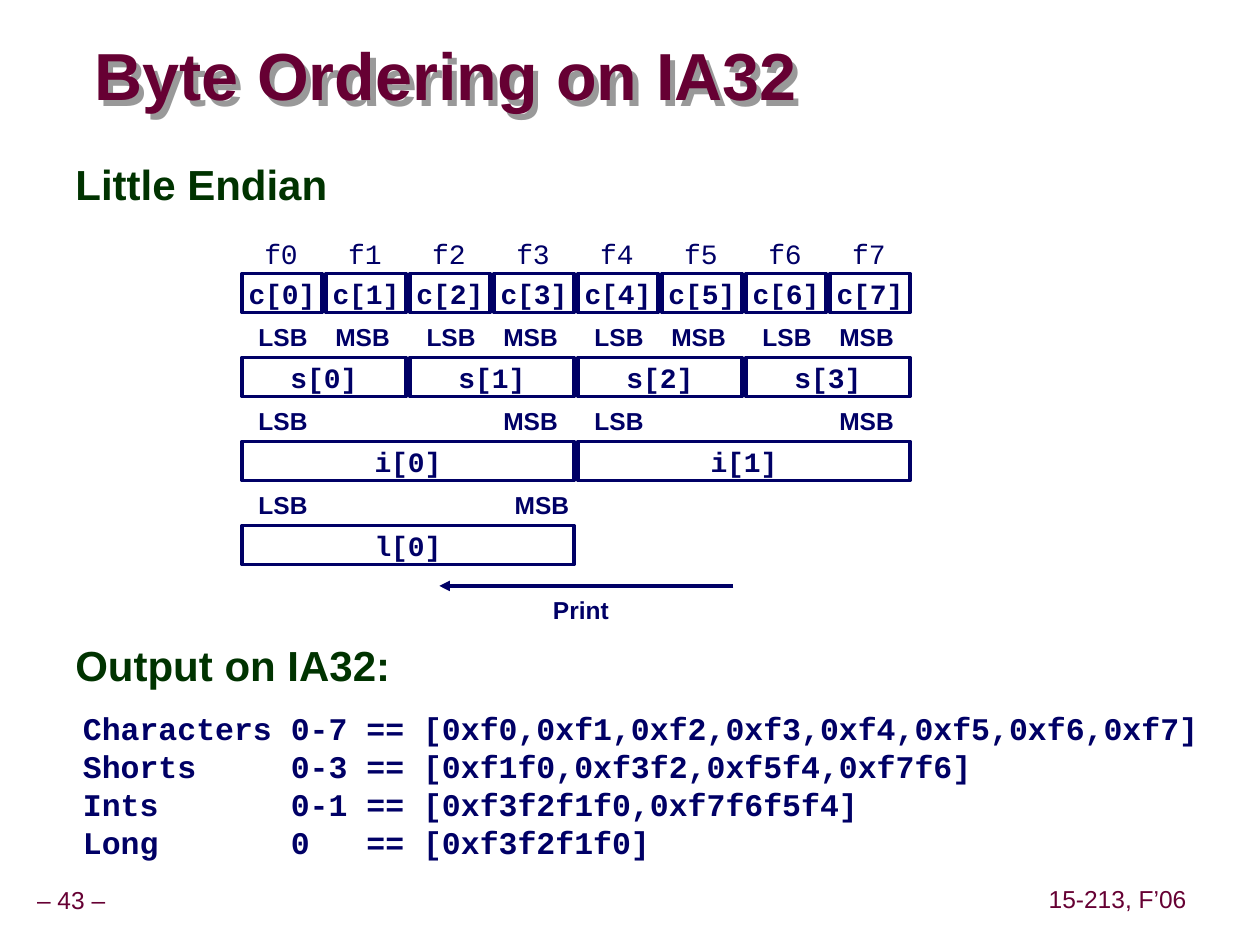
import dataclasses

import lxml.etree
import pptx
import pptx.dml.color
import pptx.enum.shapes
import pptx.enum.text
import pptx.oxml
import pptx.oxml.ns
import pptx.util

Inches = pptx.util.Inches
Pt = pptx.util.Pt
Align = pptx.enum.text.PP_ALIGN
Anchor = pptx.enum.text.MSO_ANCHOR
qn = pptx.oxml.ns.qn


@dataclasses.dataclass(frozen=True)
class Theme:
    maroon: str = "660033"
    green: str = "003300"
    navy: str = "000066"
    white: str = "FFFFFF"
    shadow: str = "999999"
    sans: str = "Arial"
    mono: str = "Courier New"
    title: int = 38
    heading: int = 24
    code: int = 18
    cell: int = 16
    label: int = 14
    line: int = 2


THEME = Theme()
WIDTH, HEIGHT = 10, 7.5

TITLE = "Byte Ordering on IA32"
HEADINGS = [
    ("Little Endian", (0.5, 1.25, 2.85, 0.45)),
    ("Output on IA32:", (0.5, 5.07, 4, 0.34)),
]
FOOTERS = [
    ("– 43 –", (-0.09, 7, 1.31, 0.31)),
    ("15-213, F’06", (8.27, 6.99, 1.2, 0.31)),
]
BYTES = ["f0", "f1", "f2", "f3", "f4", "f5", "f6", "f7"]
# name, cell count, bytes per cell, ends marked, shift of the MSB label
VARIABLES = [
    ("c", 8, 1, False, 0),
    ("s", 4, 2, True, 0),
    ("i", 2, 4, True, 0),
    ("l", 1, 4, True, 0.09),
]
OUTPUT = [
    ("Characters", "0-7", "[0xf0,0xf1,0xf2,0xf3,0xf4,0xf5,0xf6,0xf7]"),
    ("Shorts", "0-3", "[0xf1f0,0xf3f2,0xf5f4,0xf7f6]"),
    ("Ints", "0-1", "[0xf3f2f1f0,0xf7f6f5f4]"),
    ("Long", "0", "[0xf3f2f1f0]"),
]
OUTPUT_TABS = [1.65, 2.25]

GRID_LEFT, GRID_TOP = 1.92, 2.17
COLUMN = ROW = 2 / 3
CELL_GAP, CELL_HEIGHT = 0.03, 0.31
LABEL_HEIGHT = 0.33
ARROW_ROW, ARROW_FROM, ARROW_TO = 3.72, 5.85, 2.35


def rgb(value):
    return pptx.dml.color.RGBColor.from_string(value)


def style(paragraph, size, color, face=THEME.sans, bold=False, align=Align.LEFT):
    paragraph.alignment = align
    font = paragraph.font
    font.size, font.name, font.bold = Pt(size), face, bold
    font.color.rgb = rgb(color)


def set_margins(frame, x, y):
    frame.margin_left = frame.margin_right = Inches(x)
    frame.margin_top = frame.margin_bottom = Inches(y)


def add_text(slide, text, box, size, color, wrap=True, inset=0.1, **look):
    frame = slide.shapes.add_textbox(*map(Inches, box)).text_frame
    frame.word_wrap = wrap
    set_margins(frame, inset, 0.05)
    frame.text = text
    for paragraph in frame.paragraphs:
        style(paragraph, size, color, **look)
    return frame


def add_title(slide):
    title = slide.shapes.title
    title.left, title.top, title.width, title.height = map(Inches, (0.75, 0.33, 6.86, 0.61))
    frame = title.text_frame
    frame.text = TITLE
    frame.auto_size = pptx.enum.text.MSO_AUTO_SIZE.NONE
    frame.vertical_anchor = Anchor.MIDDLE
    set_margins(frame, 0, 0)
    frame.paragraphs[0].line_spacing = 0.87
    style(frame.paragraphs[0], THEME.title, THEME.maroon, bold=True)
    effects = lxml.etree.SubElement(title._element.spPr, qn("a:effectLst"))
    shadow = lxml.etree.SubElement(
        effects, qn("a:outerShdw"), dist=str(Inches(0.06)), dir="2700000", algn="ctr")
    lxml.etree.SubElement(shadow, qn("a:srgbClr"), val=THEME.shadow)


def add_cell(slide, text, left, top, width):
    cell = slide.shapes.add_shape(
        pptx.enum.shapes.MSO_SHAPE.RECTANGLE,
        *map(Inches, (left, top, width, CELL_HEIGHT)))
    cell.shadow.inherit = False
    cell.fill.solid()
    cell.fill.fore_color.rgb = rgb(THEME.white)
    cell.line.color.rgb = rgb(THEME.navy)
    cell.line.width = Pt(THEME.line)
    frame = cell.text_frame
    frame.word_wrap = False
    frame.vertical_anchor = Anchor.MIDDLE
    set_margins(frame, 0.1, 0.05)
    frame.text = text
    style(frame.paragraphs[0], THEME.cell, THEME.navy, THEME.mono, True, Align.CENTER)


def add_memory(slide):
    for index, name in enumerate(BYTES):
        add_text(slide, name,
                 (GRID_LEFT + index * COLUMN + 0.05, GRID_TOP - 0.34, 0.52, 0.36),
                 THEME.cell, THEME.navy, face=THEME.mono, align=Align.CENTER)
    for row, (name, count, span, marked, shift) in enumerate(VARIABLES):
        top = GRID_TOP + row * ROW
        width = span * COLUMN - CELL_GAP
        for index in range(count):
            left = GRID_LEFT + index * span * COLUMN
            add_cell(slide, f"{name}[{index}]", left, top, width)
            if marked:
                ends = [("LSB", left + 0.03, 0.59),
                        ("MSB", left + width - 0.66 + shift, 0.63)]
                for end, x, end_width in ends:
                    add_text(slide, end, (x, top - LABEL_HEIGHT, end_width, LABEL_HEIGHT),
                             THEME.label, THEME.navy, wrap=False, bold=True,
                             align=Align.RIGHT)


def add_print_arrow(slide):
    y = Inches(GRID_TOP + ARROW_ROW * ROW)
    arrow = slide.shapes.add_connector(
        pptx.enum.shapes.MSO_CONNECTOR.STRAIGHT,
        Inches(GRID_LEFT + ARROW_FROM * COLUMN), y,
        Inches(GRID_LEFT + ARROW_TO * COLUMN), y)
    arrow.line.color.rgb = rgb(THEME.navy)
    arrow.line.width = Pt(THEME.line)
    lxml.etree.SubElement(arrow.line._get_or_add_ln(), qn("a:tailEnd"), type="triangle")
    lxml.etree.SubElement(arrow._element.spPr, qn("a:effectLst"))
    add_text(slide, "Print", (4.29, 4.67, 0.75, LABEL_HEIGHT),
             THEME.label, THEME.navy, bold=True)


def add_output(slide):
    lines = [f"{kind}\t{indexes}\t== {values}" for kind, indexes, values in OUTPUT]
    frame = add_text(slide, "\n".join(lines), (0.56, 5.58, 9.2, 1.3),
                     THEME.code, THEME.navy, face=THEME.mono, bold=True)
    for paragraph in frame.paragraphs:
        tabs = pptx.oxml.parse_xml(
            '<a:tabLst xmlns:a="http://schemas.openxmlformats.org/drawingml/2006/main"/>')
        for position in OUTPUT_TABS:
            lxml.etree.SubElement(tabs, qn("a:tab"), pos=str(Inches(position)), algn="l")
        paragraph._p.get_or_add_pPr().insert(0, tabs)


def main():
    deck = pptx.Presentation()
    deck.slide_width, deck.slide_height = Inches(WIDTH), Inches(HEIGHT)
    slide = deck.slides.add_slide(deck.slide_layouts[5])
    add_title(slide)
    for text, box in HEADINGS:
        frame = add_text(slide, text, box, THEME.heading, THEME.green, bold=True)
        frame.paragraphs[0].line_spacing = 0.9
    for text, box in FOOTERS:
        frame = add_text(slide, text, box, THEME.label, THEME.maroon,
                         wrap=False, inset=0.05, align=Align.CENTER)
        frame.vertical_anchor = Anchor.MIDDLE
        frame.paragraphs[0].line_spacing = 0.9
    add_memory(slide)
    add_print_arrow(slide)
    add_output(slide)
    deck.save("out.pptx")


if __name__ == "__main__":
    main()
